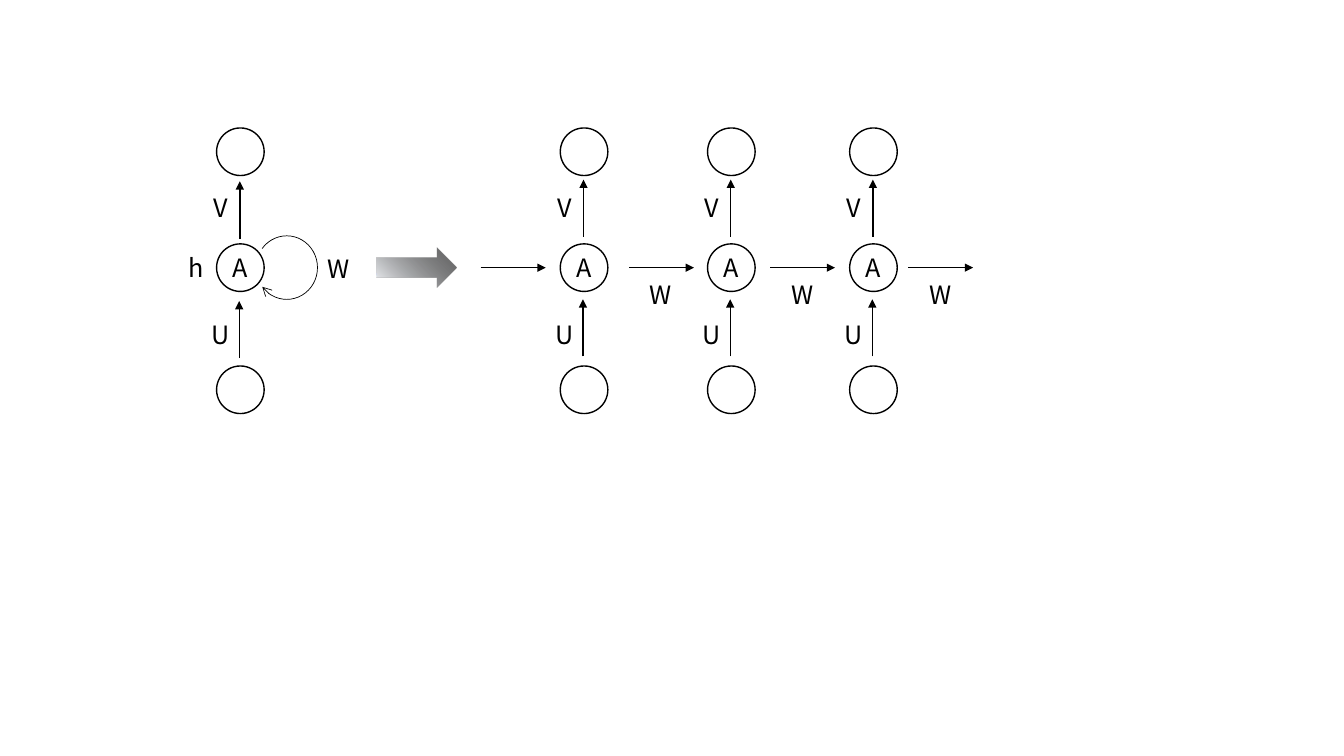
"""Build a slide that shows a recurrent network folded and unrolled in time."""
from dataclasses import dataclass

from lxml.etree import SubElement
from pptx import Presentation
from pptx.dml.color import RGBColor
from pptx.enum.shapes import MSO_CONNECTOR, MSO_SHAPE
from pptx.enum.text import MSO_ANCHOR, MSO_AUTO_SIZE, PP_ALIGN
from pptx.oxml import parse_xml
from pptx.oxml.ns import nsdecls, qn
from pptx.util import Pt


@dataclass(frozen=True)
class Theme:
    """Hold the colours, type and line widths."""
    ink: RGBColor = RGBColor(0, 0, 0)
    font: str = "Noto Sans CJK SC"
    size: float = 18
    thick: float = 1
    thin: float = 0.5
    fade: tuple = ((0, "F6F8FC", 100), (100, "000000", 61),
                   (100, "ABC0E4", 100), (100, "C7D5ED", 100))


THEME = Theme()
NODE = 34
TOP, MID, LOW = 91.4, 174.2, 261.4
AXIS = MID + NODE / 2
FOLD = 171.7
STEPS = (417.2, 522.4, 623.9)
FLOWS = (343.4, 449.3, 550.1, 648.7)


def write(frame, text, align=PP_ALIGN.LEFT, anchor=MSO_ANCHOR.TOP):
    """Put formatted text in a frame."""
    frame.vertical_anchor = anchor
    para = frame.paragraphs[0]
    para.alignment = align
    run = para.add_run()
    run.text = text
    run.font.name = THEME.font
    run.font.size = Pt(THEME.size)
    run.font.color.rgb = THEME.ink


def label(slide, text, x, y, width):
    """Add a text label that does not wrap."""
    box = slide.shapes.add_textbox(Pt(x), Pt(y), Pt(width), Pt(29))
    frame = box.text_frame
    frame.word_wrap = False
    frame.auto_size = MSO_AUTO_SIZE.SHAPE_TO_FIT_TEXT
    write(frame, text)


def shape(slide, kind, x, y, width, height):
    """Add a plain shape without fill or shadow."""
    item = slide.shapes.add_shape(kind, Pt(x), Pt(y), Pt(width), Pt(height))
    item.shadow.inherit = False
    item.fill.background()
    return item


def stroke(item, width, head=None):
    """Set the line of an item and its arrowhead."""
    item.line.color.rgb = THEME.ink
    item.line.width = Pt(width)
    if head:
        SubElement(item.line._get_or_add_ln(), qn("a:tailEnd"), type=head)


def node(slide, mid, y, text=None):
    """Add a round node centred on mid."""
    ring = shape(slide, MSO_SHAPE.OVAL, mid - NODE / 2, y, NODE, NODE)
    stroke(ring, THEME.thick)
    if text:
        frame = ring.text_frame
        frame.margin_left = frame.margin_right = 0
        frame.margin_top = frame.margin_bottom = 0
        write(frame, text, align=PP_ALIGN.CENTER, anchor=MSO_ANCHOR.MIDDLE)


def arrow(slide, x, y, to_x, to_y):
    """Add a straight arrow."""
    link = slide.shapes.add_connector(
        MSO_CONNECTOR.STRAIGHT, Pt(x), Pt(y), Pt(to_x), Pt(to_y))
    stroke(link, THEME.thick, head="triangle")
    SubElement(link._element.spPr, qn("a:effectLst"))


def stack(slide, mid, drop=0):
    """Add input, state and output nodes with their links."""
    node(slide, mid, TOP)
    node(slide, mid, LOW)
    node(slide, mid, MID, text="A")
    arrow(slide, mid - 0.4, 169.2 + drop, mid - 0.4, 128.3 + drop)
    arrow(slide, mid - 0.8, 254.6 + drop, mid - 0.8, 213.8 + drop)
    label(slide, "V", mid - 26.3, 134, 26)
    label(slide, "U", mid - 27.5, 224.6, 26.6)


def loop(slide):
    """Add the arc that feeds the state back to itself."""
    arc = shape(slide, MSO_SHAPE.ARC, 182.9, 168.5, 43.9, 45.4)
    arc.adjustments[0] = 130.65
    arc.adjustments[1] = 85.15
    stroke(arc, THEME.thin, head="arrow")


def turn(slide):
    """Add the shaded block arrow between both views."""
    block = shape(slide, MSO_SHAPE.RIGHT_ARROW, 269.3, 176.8, 57, 28.4)
    block.line.fill.background()
    stops = "".join(
        f'<a:gs pos="{pos * 1000}"><a:srgbClr val="{hue}">'
        f'<a:alpha val="{alpha * 1000}"/></a:srgbClr></a:gs>'
        for pos, hue, alpha in THEME.fade)
    fade = parse_xml(
        f'<a:gradFill {nsdecls("a")} rotWithShape="1"><a:gsLst>{stops}</a:gsLst>'
        '<a:path path="circle"><a:fillToRect t="100000" r="100000"/></a:path>'
        '</a:gradFill>')
    props = block._element.spPr
    props.replace(props.find(qn("a:noFill")), fade)


def main():
    """Draw the slide and save it."""
    deck = Presentation()
    deck.slide_width, deck.slide_height = Pt(960), Pt(540)
    slide = deck.slides.add_slide(deck.slide_layouts[6])
    loop(slide)
    stack(slide, FOLD, drop=1.2)
    label(slide, "h", 127.4, 176.4, 24.5)
    label(slide, "W", 226.8, 177.1, 31)
    turn(slide)
    for mid in STEPS:
        stack(slide, mid)
    for x in FLOWS:
        arrow(slide, x, AXIS, x + 46.4, AXIS)
    for x in FLOWS[1:]:
        label(slide, "W", x + 7.9, 195.8, 31)
    deck.save("out.pptx")


if __name__ == "__main__":
    main()
